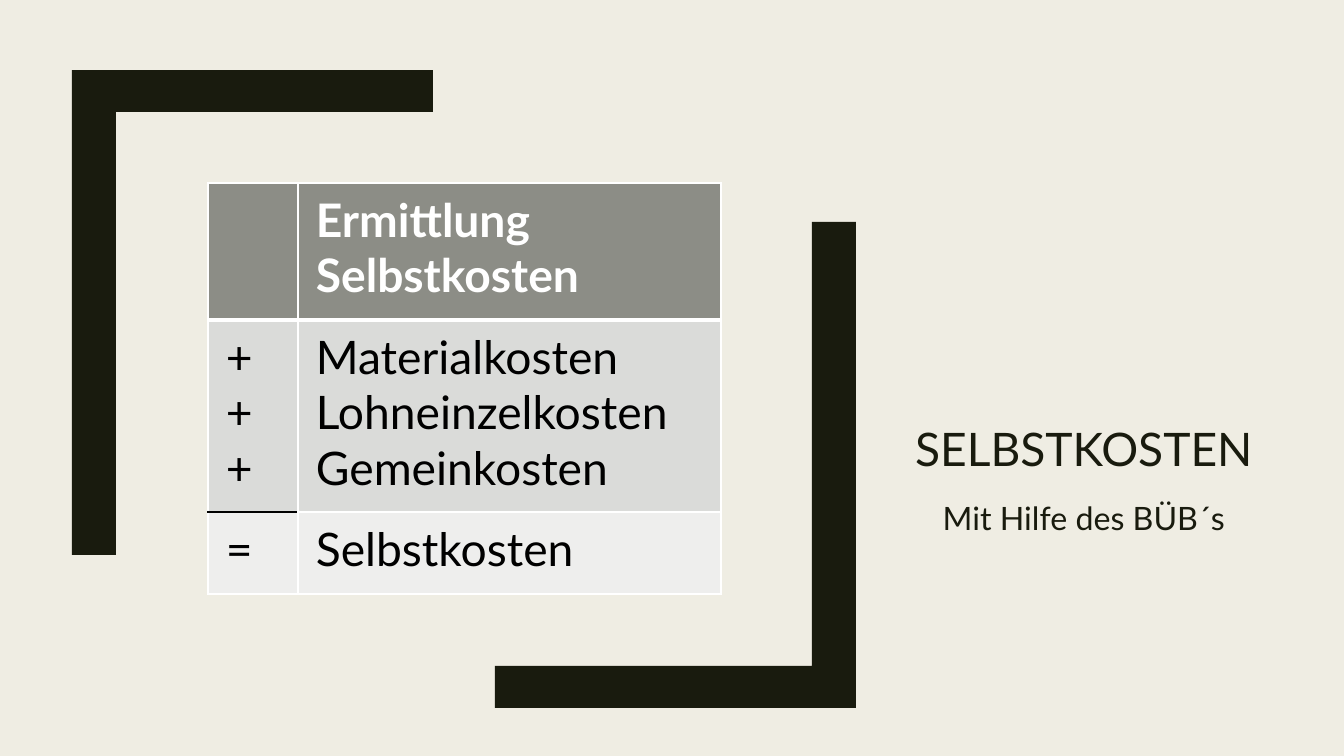
from lxml.etree import SubElement
from pptx import Presentation
from pptx.dml.color import RGBColor
from pptx.enum.text import MSO_ANCHOR as Anchor, PP_ALIGN as Align
from pptx.oxml.ns import qn
from pptx.util import Emu, Pt

FONT = "Lato"
CREAM = RGBColor(0xEF, 0xED, 0xE3)
DARK = RGBColor(0x19, 0x1B, 0x0E)
WHITE = RGBColor(0xFF, 0xFF, 0xFF)
BLACK = RGBColor(0x00, 0x00, 0x00)
HEADER_GREY = RGBColor(0x8C, 0x8D, 0x86)
COST_GREY = RGBColor(0xDA, 0xDB, 0xD9)
TOTAL_GREY = RGBColor(0xEE, 0xEE, 0xED)

# Each row: height, fill, text colour, bold, cell texts
COST_ROWS = [
    (137, HEADER_GREY, WHITE, True, ("", "Ermittlung Selbstkosten")),
    (192, COST_GREY, BLACK, False,
     ("+\n+\n+", "Materialkosten\nLohneinzelkosten\nGemeinkosten")),
    (82, TOTAL_GREY, BLACK, False, ("=", "Selbstkosten")),
]
COLUMN_WIDTHS = (90, 423)

UPPER_BRACKET = [(116, 555), (72, 555), (72, 70), (433, 70), (433, 112), (116, 112)]
LOWER_BRACKET = [(812, 222), (856, 222), (856, 708), (495, 708), (495, 666), (812, 666)]


def px(length):
    return Emu(round(length * 914400 / 100.8))


def style_font(paragraph, size, color, bold=False):
    font = paragraph.font
    font.name, font.size, font.bold = FONT, Pt(size), bold
    font.color.rgb = color


def add_bracket(slide, corners):
    outline = slide.shapes.build_freeform(*corners[0], scale=914400 / 100.8)
    outline.add_line_segments(corners[1:], close=True)
    bracket = outline.convert_to_shape()
    bracket.shadow.inherit = False
    bracket.fill.solid()
    bracket.fill.fore_color.rgb = DARK
    bracket.line.fill.background()


def add_caption(slide, top, height, text, size, spacing, anchor):
    frame = slide.shapes.add_textbox(px(899), px(top), px(370), px(height)).text_frame
    frame.word_wrap = True
    frame.vertical_anchor = anchor
    frame.text = text
    paragraph = frame.paragraphs[0]
    paragraph.alignment = Align.CENTER
    paragraph.line_spacing = spacing
    style_font(paragraph, size, DARK)


def set_border(cell, side, color, width):
    line = SubElement(cell._tc.get_or_add_tcPr(), qn(f"a:ln{side}"), w=str(Pt(width)))
    SubElement(SubElement(line, qn("a:solidFill")), qn("a:srgbClr"), val=str(color))


def border_style(side, row, column):
    """White grid, thick under the header, black above the equals sign."""
    edge = row + (side == "B")
    if side in "TB" and edge == 1:
        return WHITE, 3
    if side in "TB" and edge == 2 and column == 0:
        return BLACK, 1
    return WHITE, 1


def add_cost_table(slide):
    height = sum(row[0] for row in COST_ROWS)
    table = slide.shapes.add_table(
        len(COST_ROWS), len(COLUMN_WIDTHS), px(208), px(183),
        px(sum(COLUMN_WIDTHS)), px(height)).table
    for column, width in zip(table.columns, COLUMN_WIDTHS):
        column.width = px(width)
    for r, (row_height, fill, color, bold, texts) in enumerate(COST_ROWS):
        table.rows[r].height = px(row_height)
        for c, text in enumerate(texts):
            cell = table.cell(r, c)
            cell.margin_left = cell.margin_right = px(18)
            cell.margin_top = cell.margin_bottom = px(9)
            # Borders must precede the fill in the cell properties
            for side in "LRTB":
                set_border(cell, side, *border_style(side, r, c))
            cell.fill.solid()
            cell.fill.fore_color.rgb = fill
            cell.text = text
            for paragraph in cell.text_frame.paragraphs:
                style_font(paragraph, 33, color, bold)


def main():
    deck = Presentation()
    deck.slide_width, deck.slide_height = px(1344), px(756)
    slide = deck.slides.add_slide(deck.slide_layouts[6])
    slide.background.fill.solid()
    slide.background.fill.fore_color.rgb = CREAM

    # Title and subtitle
    add_caption(slide, 70, 411, "SELBSTKOSTEN", 33, 0.89, Anchor.BOTTOM)
    add_caption(slide, 489, 198, "Mit Hilfe des BÜB´s", 23, 1.12, Anchor.TOP)

    # Brackets framing the cost table
    for corners in (UPPER_BRACKET, LOWER_BRACKET):
        add_bracket(slide, corners)
    add_cost_table(slide)

    deck.save("out.pptx")


if __name__ == "__main__":
    main()
